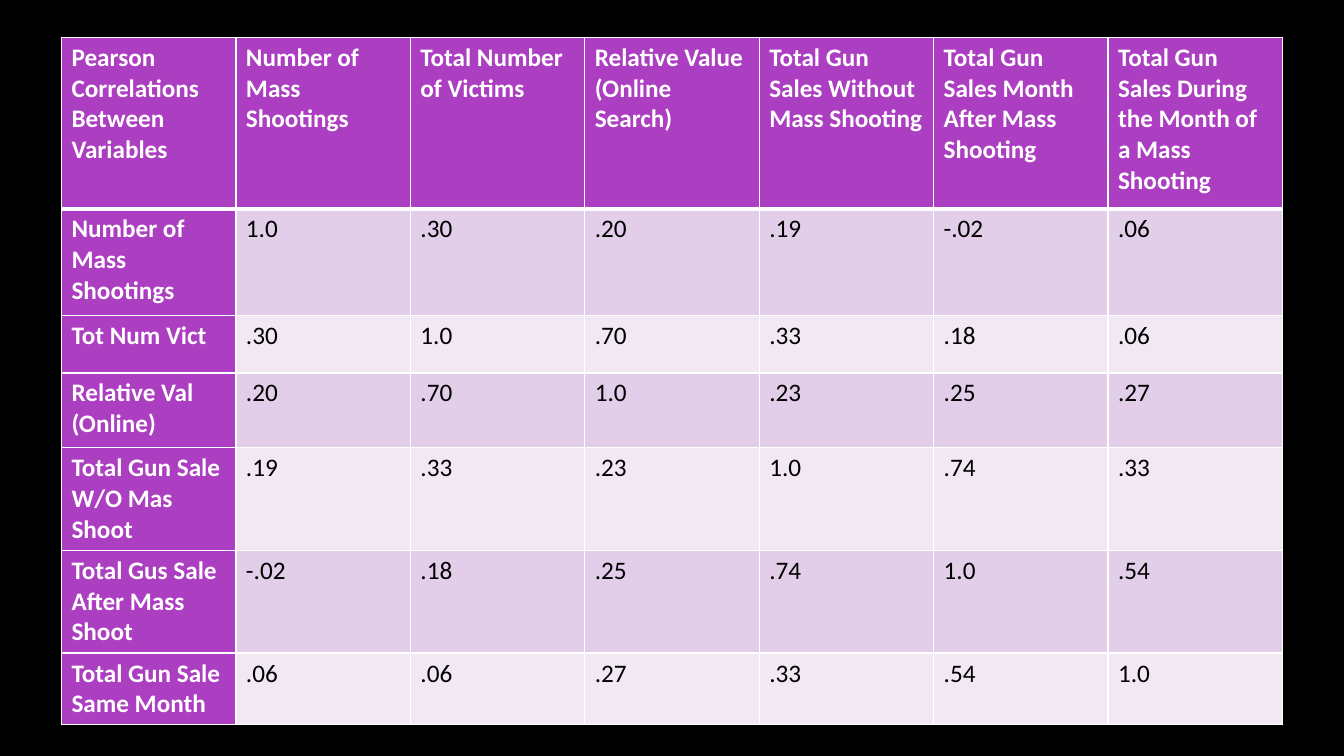
from lxml.etree import SubElement
from pptx import Presentation
from pptx.dml.color import RGBColor
from pptx.oxml.ns import qn
from pptx.util import Inches, Pt

HEADINGS = [
    "Pearson Correlations Between Variables",
    "Number of Mass Shootings",
    "Total Number of Victims",
    "Relative Value (Online Search)",
    "Total Gun Sales Without Mass Shooting",
    "Total Gun Sales Month After Mass Shooting",
    "Total Gun Sales During the Month of a Mass Shooting",
]
# Row label, row height in inches, correlations
CORRELATIONS = [
    ("Number of Mass Shootings", 1.06, ["1.0", ".30", ".20", ".19", "-.02", ".06"]),
    ("Tot Num Vict", 0.57, [".30", "1.0", ".70", ".33", ".18", ".06"]),
    ("Relative Val (Online)", 0.74, [".20", ".70", "1.0", ".23", ".25", ".27"]),
    ("Total Gun Sale W/O Mas Shoot", 1.02, [".19", ".33", ".23", "1.0", ".74", ".33"]),
    ("Total Gus Sale After Mass Shoot", 1.02, ["-.02", ".18", ".25", ".74", "1.0", ".54"]),
    ("Total Gun Sale Same Month", 0.71, [".06", ".06", ".27", ".33", ".54", "1.0"]),
]
HEADING_HEIGHT = 1.7
SLIDE_WIDTH, SLIDE_HEIGHT = 13.33, 7.5
LEFT, TOP, COLUMN_WIDTH = 0.61, 0.37, 1.73

BLACK = RGBColor(0x00, 0x00, 0x00)
WHITE = RGBColor(0xFF, 0xFF, 0xFF)
PURPLE = RGBColor(0xAC, 0x3E, 0xC1)
BANDS = [RGBColor(0xF1, 0xE8, 0xF4), RGBColor(0xE3, 0xCE, 0xE9)]


def add_borders(cell, row):
    """Draw white rules, with a thicker one between headings and values."""
    widths = {"L": 1, "R": 1, "T": 3 if row == 1 else 1, "B": 3 if row == 0 else 1}
    properties = cell._tc.get_or_add_tcPr()
    for side, width in widths.items():
        line = SubElement(properties, qn(f"a:ln{side}"), w=str(Pt(width)))
        fill = SubElement(line, qn("a:solidFill"))
        SubElement(fill, qn("a:srgbClr"), val=str(WHITE))


def fill_cell(cell, text, row, column):
    is_label = row == 0 or column == 0
    add_borders(cell, row)
    cell.fill.solid()
    cell.fill.fore_color.rgb = PURPLE if is_label else BANDS[row % 2]
    cell.text = text
    font = cell.text_frame.paragraphs[0].font
    font.name = "Calibri"
    font.size = Pt(18)
    font.bold = is_label
    font.color.rgb = WHITE if is_label else BLACK


def main():
    presentation = Presentation()
    presentation.slide_width = Inches(SLIDE_WIDTH)
    presentation.slide_height = Inches(SLIDE_HEIGHT)
    slide = presentation.slides.add_slide(presentation.slide_layouts[6])
    slide.background.fill.solid()
    slide.background.fill.fore_color.rgb = BLACK

    rows = [HEADINGS] + [[label, *values] for label, _, values in CORRELATIONS]
    heights = [HEADING_HEIGHT] + [height for _, height, _ in CORRELATIONS]
    table = slide.shapes.add_table(
        len(rows), len(HEADINGS), Inches(LEFT), Inches(TOP),
        Inches(COLUMN_WIDTH * len(HEADINGS)), Inches(sum(heights)),
    ).table
    table.first_col = True
    for column in table.columns:
        column.width = Inches(COLUMN_WIDTH)
    for row, (texts, height) in enumerate(zip(rows, heights)):
        table.rows[row].height = Inches(height)
        for column, text in enumerate(texts):
            fill_cell(table.cell(row, column), text, row, column)

    presentation.save("out.pptx")


if __name__ == "__main__":
    main()
